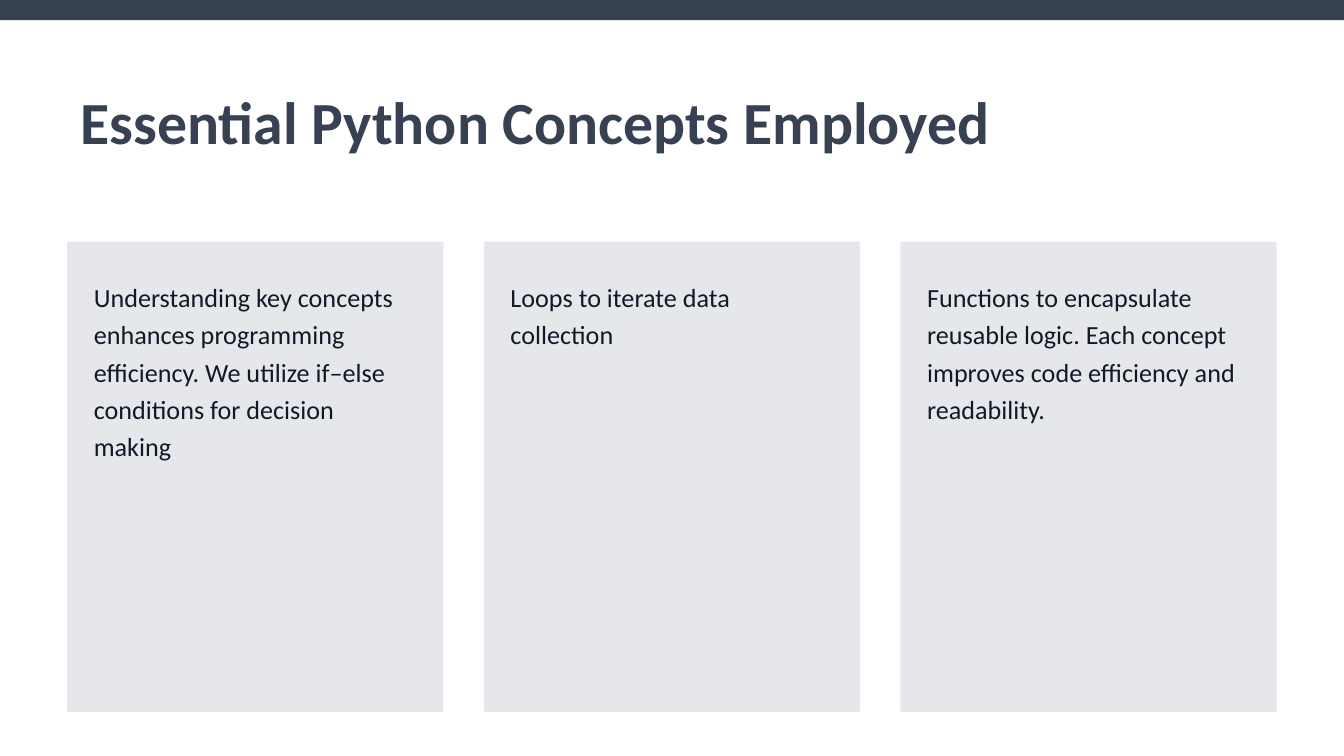
from pptx import Presentation
from pptx.dml.color import RGBColor
from pptx.enum.shapes import MSO_SHAPE
from pptx.enum.text import MSO_ANCHOR, PP_ALIGN
from pptx.util import Inches, Pt

RECTANGLE = MSO_SHAPE.RECTANGLE
MIDDLE = MSO_ANCHOR.MIDDLE
TOP = MSO_ANCHOR.TOP
LEFT = PP_ALIGN.LEFT

SLATE = "374151"
CARD_GRAY = "E5E7EB"
INK = "111827"

CONCEPTS = [
    "Understanding key concepts enhances programming efficiency. "
    "We utilize if–else conditions for decision making",
    "Loops to iterate data collection",
    "Functions to encapsulate reusable logic. "
    "Each concept improves code efficiency and readability.",
]


def add_rectangle(left, top, width, height, color):
    shape = slide.shapes.add_shape(
        RECTANGLE, Inches(left), Inches(top), Inches(width), Inches(height)
    )
    shape.shadow.inherit = False
    shape.fill.solid()
    shape.fill.fore_color.rgb = RGBColor.from_string(color)
    shape.line.fill.background()


def write_text(shape, text, size, color, bold, anchor):
    frame = shape.text_frame
    frame.word_wrap = True
    frame.vertical_anchor = anchor
    paragraph = frame.paragraphs[0]
    paragraph.alignment = LEFT
    run = paragraph.add_run()
    run.text = text
    run.font.name = "Calibri"
    run.font.size = Pt(size)
    run.font.bold = bold
    run.font.color.rgb = RGBColor.from_string(color)
    return paragraph


presentation = Presentation()
presentation.slide_width = Inches(10)
presentation.slide_height = Inches(10) * 9 // 16
slide = presentation.slides.add_slide(presentation.slide_layouts[5])
slide.background.fill.solid()
slide.background.fill.fore_color.rgb = RGBColor.from_string("FFFFFF")

add_rectangle(0, 0, 10, 0.15, SLATE)

title = slide.shapes.title
title.left, title.top = Inches(0.5), Inches(0.5)
title.width, title.height = Inches(9), Inches(0.8)
write_text(title, "Essential Python Concepts Employed", 32, SLATE, True, MIDDLE)

card_width = 2.8
card_gap = 0.3
for index, concept in enumerate(CONCEPTS):
    card_left = 0.5 + index * (card_width + card_gap)
    add_rectangle(card_left, 1.8, card_width, 3.5, CARD_GRAY)
    text_box = slide.shapes.add_textbox(
        Inches(card_left + 0.1), Inches(2), Inches(card_width - 0.2), Inches(3.1)
    )
    paragraph = write_text(text_box, concept, 14, INK, False, TOP)
    paragraph.line_spacing = Pt(20)

presentation.save("out.pptx")
